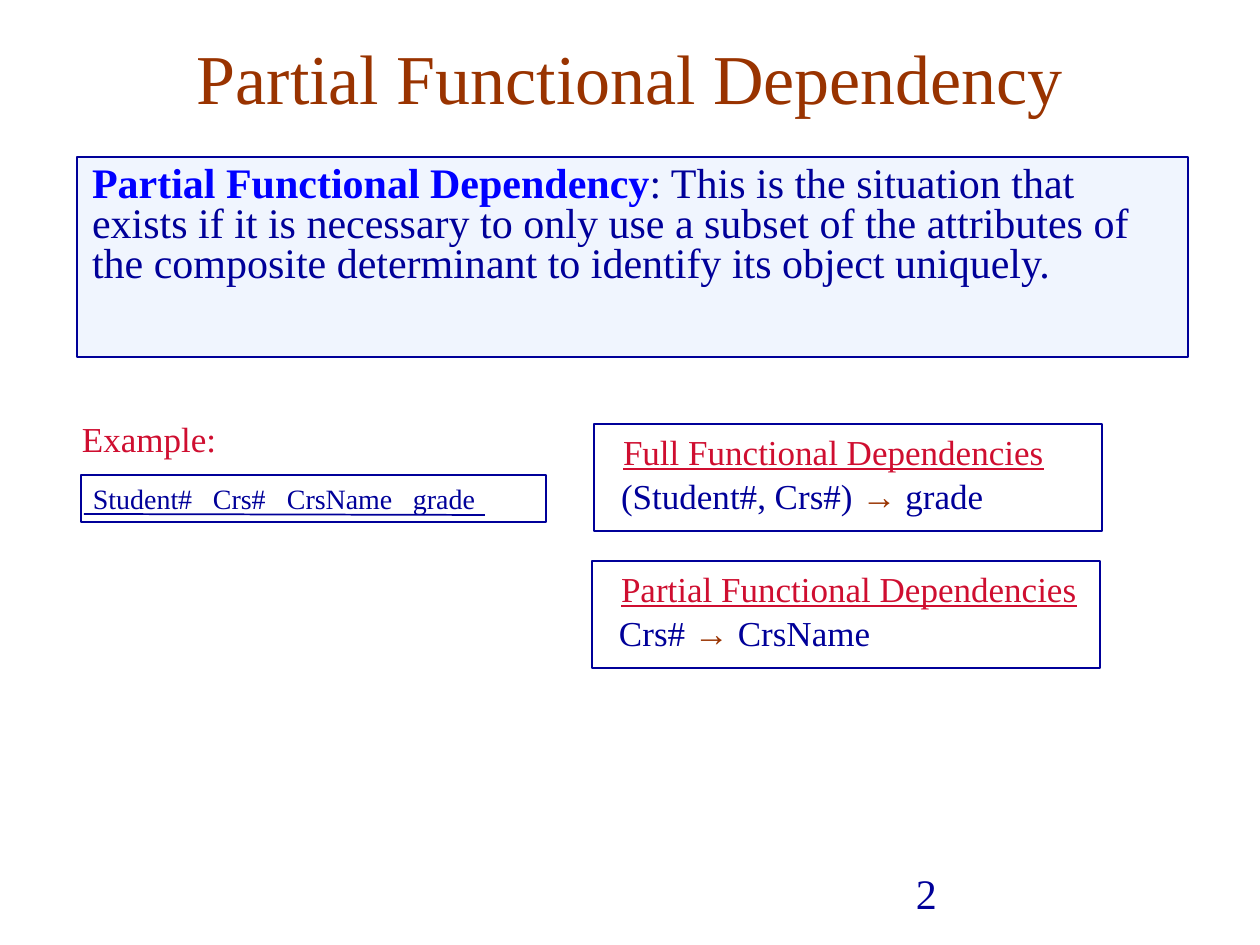
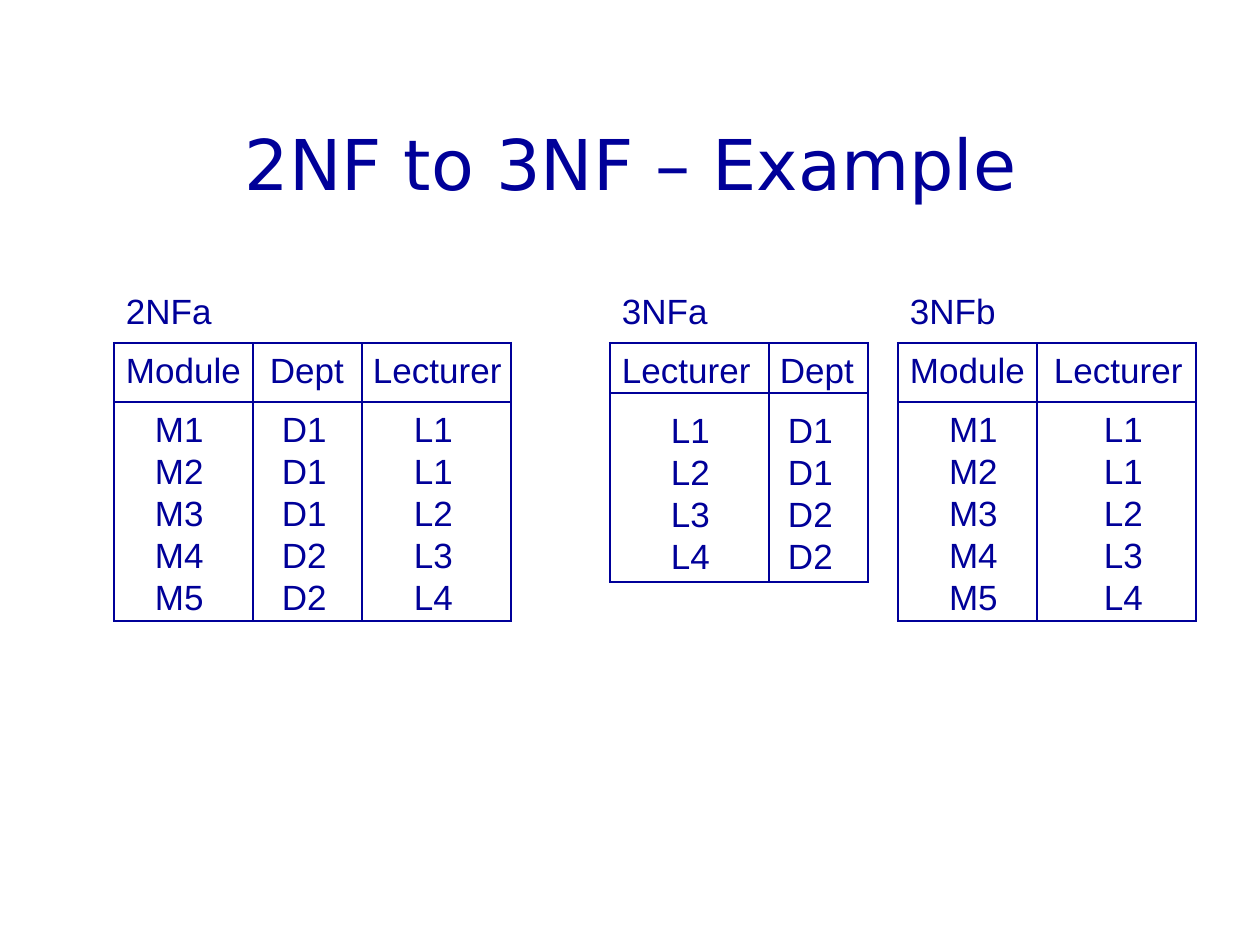
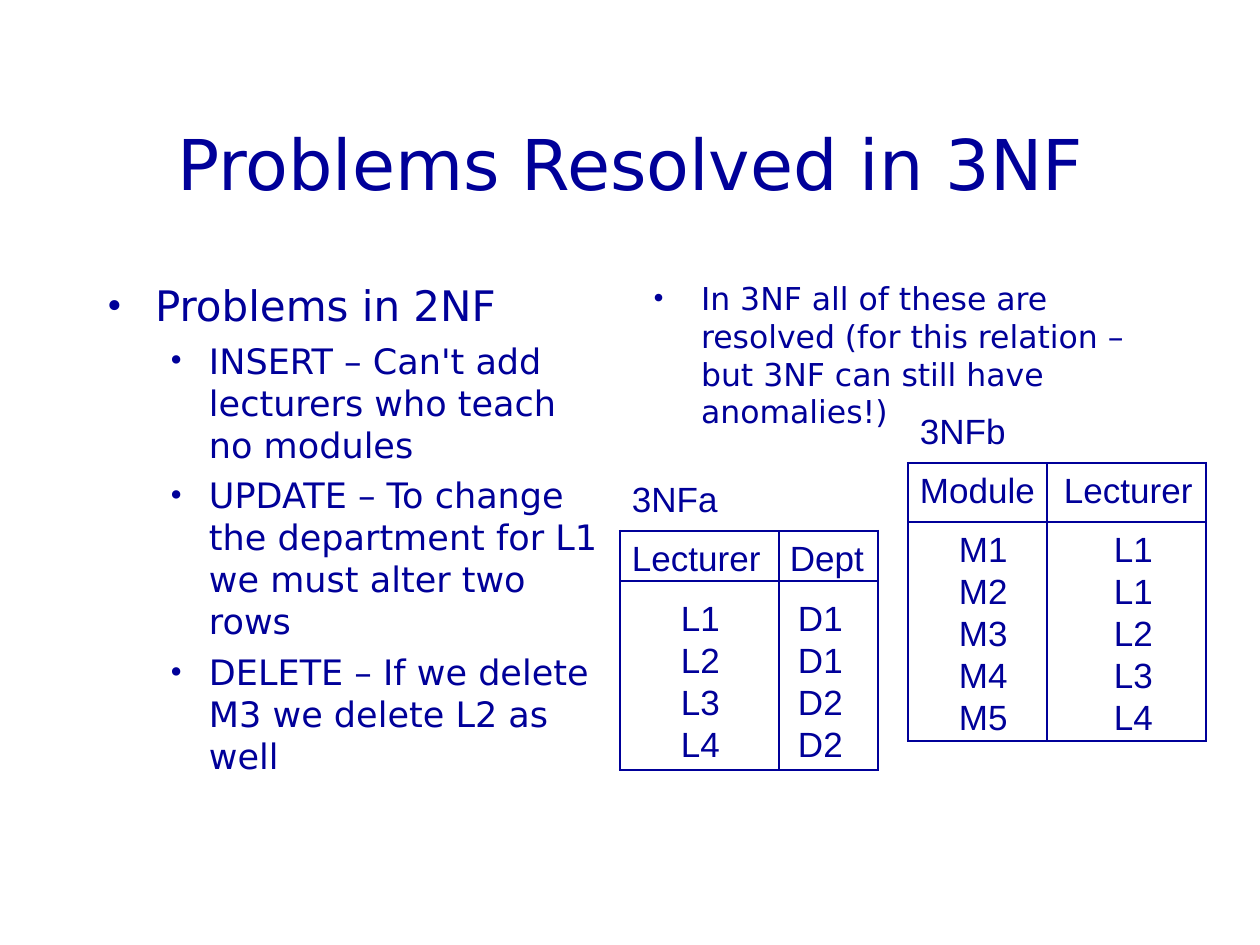
from dataclasses import dataclass, replace
from itertools import accumulate

from lxml import etree
from pptx import Presentation
from pptx.dml.color import RGBColor
from pptx.enum.shapes import MSO_CONNECTOR, MSO_SHAPE
from pptx.enum.text import MSO_ANCHOR, PP_ALIGN
from pptx.oxml.ns import qn
from pptx.util import Emu, Pt

RECT, LINE = MSO_SHAPE.RECTANGLE, MSO_CONNECTOR.STRAIGHT
TOP, MIDDLE = MSO_ANCHOR.TOP, MSO_ANCHOR.MIDDLE
LEFT, CENTER = PP_ALIGN.LEFT, PP_ALIGN.CENTER

SERIF, SANS, UI = "Times New Roman", "Arial", "DejaVu Sans"
COLORS = {"navy": "000099", "brown": "993300", "blue": "0000FF",
          "red": "CF0E30", "pale": "F0F5FE", "white": "FFFFFF"}

PX_PER_INCH = 126
INSET_X, INSET_Y = 13, 6
TITLE_BOX = (95, 84, 1071, 158)

# Relation tables
ROW_H = 42          # one line of values
HEADER_PAD = 9      # space above the column titles
FIRST_ROW_END = 110  # from the top of a table to the end of its first record
LABEL_RISE = 60
RULE_PT = 1.5

Box = tuple[int, int, int, int]


@dataclass(frozen=True)
class Column:
    title: str
    width: int
    title_indent: int
    value_indent: int
    values: tuple[str, ...]


@dataclass(frozen=True)
class Relation:
    name: str
    left: int
    top: int
    header_h: int
    tail: int
    columns: tuple[Column, ...]


@dataclass(frozen=True)
class Dependency:
    left: int
    top: int
    heading: str
    source: str
    target: str


@dataclass(frozen=True)
class Bullet:
    text: str
    size: int
    before: float
    margin: int = 48
    hang: int = 48


MODULES = ("M1", "M2", "M3", "M4", "M5")
LECTURERS = ("L1", "L1", "L2", "L3", "L4")

NF2A = Relation("2NFa", 114, 343, 59, 0, (
    Column("Module", 139, 12, 41, MODULES),
    Column("Dept", 109, 17, 29, ("D1", "D1", "D1", "D2", "D2")),
    Column("Lecturer", 149, 11, 52, LECTURERS)))
NF3A = Relation("3NFa", 610, 343, 50, 2, (
    Column("Lecturer", 159, 12, 61, ("L1", "L2", "L3", "L4")),
    Column("Dept", 99, 11, 19, ("D1", "D1", "D2", "D2"))))
NF3B = Relation("3NFb", 898, 343, 59, 0, (
    Column("Module", 139, 12, 51, MODULES),
    Column("Lecturer", 159, 17, 67, LECTURERS)))

DEPENDENCIES = (
    Dependency(594, 424, "Full Functional Dependencies", "(Student#, Crs#)", "grade"),
    Dependency(592, 561, "Partial Functional Dependencies", "Crs#", "CrsName"))

PROBLEMS = (
    Bullet("Problems in 2NF", 24, 6),
    *(Bullet(text, 20, 5, 102, 39) for text in (
        "INSERT – Can't add lecturers who teach no modules",
        "UPDATE – To change the department for L1 we must alter two rows",
        "DELETE – If we delete M3 we delete L2 as well")))
RESOLVED = (Bullet("In 3NF all of these are resolved (for this relation – "
                   "but 3NF can still have anomalies!)", 18, 4.5),)


def px(n: int) -> Emu:
    return Emu(round(n * 914400 / PX_PER_INCH))


def rgb(name: str) -> RGBColor:
    return RGBColor.from_string(COLORS[name])


# Text
def add_run(p, text: str, *, font: str = SERIF, size: float = 20, color: str = "navy",
            bold: bool = False, underline: bool = False) -> None:
    r = p.add_run()
    r.text = text
    f = r.font
    f.name, f.size, f.bold, f.underline = font, Pt(size), bold, underline
    f.color.rgb = rgb(color)


def set_frame(tf, anchor=TOP, insets: Box = (INSET_X, INSET_Y, INSET_X, INSET_Y)):
    tf.word_wrap = True
    tf.vertical_anchor = anchor
    tf.margin_left, tf.margin_top, tf.margin_right, tf.margin_bottom = map(px, insets)
    return tf


def add_box(s, box: Box, anchor=TOP):
    return set_frame(s.shapes.add_textbox(*map(px, box)).text_frame, anchor)


def add_text(s, box: Box, text: str, *, align=LEFT, anchor=TOP, **fmt):
    p = add_box(s, box, anchor).paragraphs[0]
    p.alignment = align
    add_run(p, text, **fmt)
    return p


def add_title(s, text: str, box: Box = TITLE_BOX, **fmt) -> None:
    add_text(s, box, text, align=CENTER, anchor=MIDDLE, size=40, **fmt)


def set_tabs(p, stops: tuple[int, ...]) -> None:
    tabs = etree.SubElement(p._p.get_or_add_pPr(), qn("a:tabLst"))
    for stop in stops:
        etree.SubElement(tabs, qn("a:tab"), pos=str(px(stop)), algn="l")


def add_bullets(s, box: Box, bullets: tuple[Bullet, ...]) -> None:
    tf = add_box(s, box)
    for i, b in enumerate(bullets):
        p = tf.add_paragraph() if i else tf.paragraphs[0]
        p.space_before = Pt(b.before)
        pPr = p._p.get_or_add_pPr()
        pPr.set("marL", str(px(b.margin)))
        pPr.set("indent", str(px(-b.hang)))
        etree.SubElement(pPr, qn("a:buFont"), typeface=SERIF)
        etree.SubElement(pPr, qn("a:buChar"), char="•")
        add_run(p, b.text, font=UI, size=b.size)


# Shapes
def add_rect(s, box: Box, fill: str = "white"):
    sp = s.shapes.add_shape(RECT, *map(px, box))
    sp.shadow.inherit = False
    sp.fill.solid()
    sp.fill.fore_color.rgb = rgb(fill)
    sp.line.color.rgb = rgb("navy")
    sp.line.width = Pt(1)
    return sp


def add_line(s, x1: int, y1: int, x2: int, y2: int, width: float = 1) -> None:
    c = s.shapes.add_connector(LINE, *map(px, (x1, y1, x2, y2)))
    c.line.color.rgb = rgb("navy")
    c.line.width = Pt(width)
    etree.SubElement(c._element.spPr, qn("a:effectLst"))


def add_dependency(s, d: Dependency) -> None:
    add_rect(s, (d.left, d.top, 508, 107))
    add_text(s, (d.left + 16, d.top, 500, 55), d.heading, color="red", underline=True)
    p = add_text(s, (d.left + 14, d.top + 44, 424, 55), d.source + " ")
    add_run(p, "→", font=SANS, color="brown")
    add_run(p, " " + d.target)


# Tables
def set_borders(cell, sides: str) -> None:
    """Rule the sides named by letters of LRTB and clear the others."""
    tcPr = cell._tc.get_or_add_tcPr()
    for side in "LRTB":
        ln = etree.SubElement(tcPr, qn("a:ln" + side), w=str(Pt(RULE_PT)))
        if side in sides:
            fill = etree.SubElement(ln, qn("a:solidFill"))
            etree.SubElement(fill, qn("a:srgbClr"), val=COLORS["navy"])
        else:
            etree.SubElement(ln, qn("a:noFill"))


def add_relation(s, rel: Relation) -> None:
    add_text(s, (rel.left - 1, rel.top - LABEL_RISE, 150, 55), rel.name, font=SANS)
    count, last = len(rel.columns[0].values), len(rel.columns) - 1
    first_h = FIRST_ROW_END - rel.header_h
    heights = [rel.header_h, first_h] + [ROW_H] * (count - 2) + [ROW_H + rel.tail]
    pads = [HEADER_PAD, first_h - ROW_H] + [0] * (count - 1)
    edges = list(accumulate((c.width for c in rel.columns), initial=rel.left))
    bottom = rel.top + sum(heights)
    frame = s.shapes.add_table(count + 1, last + 1, *map(
        px, (rel.left, rel.top, edges[-1] - rel.left, sum(heights))))
    tbl = frame.table
    tbl.first_row = tbl.horz_banding = False
    for row, h in zip(tbl.rows, heights):
        row.height = px(h)
    for j, col in enumerate(rel.columns):
        tbl.columns[j].width = px(col.width)
        for i, text in enumerate((col.title, *col.values)):
            cell = tbl.cell(i, j)
            indent = col.value_indent if i else col.title_indent
            cell.margin_left, cell.margin_top = px(indent), px(pads[i])
            cell.margin_right = cell.margin_bottom = 0
            cell.vertical_anchor = TOP
            outer = {"L": j == 0, "R": j == last, "T": i == 0, "B": i == count}
            set_borders(cell, "".join(side for side, on in outer.items() if on))
            cell.fill.background()
            add_run(cell.text_frame.paragraphs[0], text, font=SANS)
    # Inner rules: under the titles and between the columns
    header_y = rel.top + rel.header_h
    add_line(s, rel.left, header_y, edges[-1], header_y, RULE_PT)
    for x in edges[1:-1]:
        add_line(s, x, rel.top, x, bottom, RULE_PT)


# Slides
def partial_dependency(s) -> None:
    add_text(s, (903, 862, 294, 66), "2", size=24)
    add_rect(s, (77, 157, 1111, 200), "pale")
    add_title(s, "Partial Functional Dependency", (0, 0, 1260, 154), color="brown")

    p = add_text(s, (79, 160, 1105, 147), "Partial Functional Dependency",
                 size=24, color="blue", bold=True)
    p.line_spacing, p.space_before = 0.8, Pt(6.5)
    add_run(p, ": This is the situation that exists if it is necessary to only use "
               "a subset of the attributes of the composite determinant to identify "
               "its object uniquely.", size=24)

    add_text(s, (69, 411, 200, 55), "Example:", color="red")
    attributes = add_rect(s, (81, 475, 465, 47))
    p = set_frame(attributes.text_frame, insets=(12, 7, 12, 6)).paragraphs[0]
    p.alignment = LEFT
    set_tabs(p, (120, 194, 320))
    add_run(p, "Student#\tCrs#\tCrsName\tgrade", size=16)
    add_line(s, 84, 514, 485, 515)

    for d in DEPENDENCIES:
        add_dependency(s, d)


def example_3nf(s) -> None:
    add_title(s, "2NF to 3NF – Example", font=UI)
    for rel in (NF2A, NF3A, NF3B):
        add_relation(s, rel)


def problems_resolved(s) -> None:
    add_title(s, "Problems Resolved in 3NF", font=UI)
    add_bullets(s, (94, 274, 525, 567), PROBLEMS)
    add_bullets(s, (640, 273, 525, 567), RESOLVED)
    add_relation(s, replace(NF3A, left=620, top=531))
    add_relation(s, replace(NF3B, left=908, top=463))


def main() -> None:
    prs = Presentation()
    prs.slide_width, prs.slide_height = px(1260), px(945)
    for build in (partial_dependency, example_3nf, problems_resolved):
        build(prs.slides.add_slide(prs.slide_layouts[6]))
    prs.save("out.pptx")


if __name__ == "__main__":
    main()
